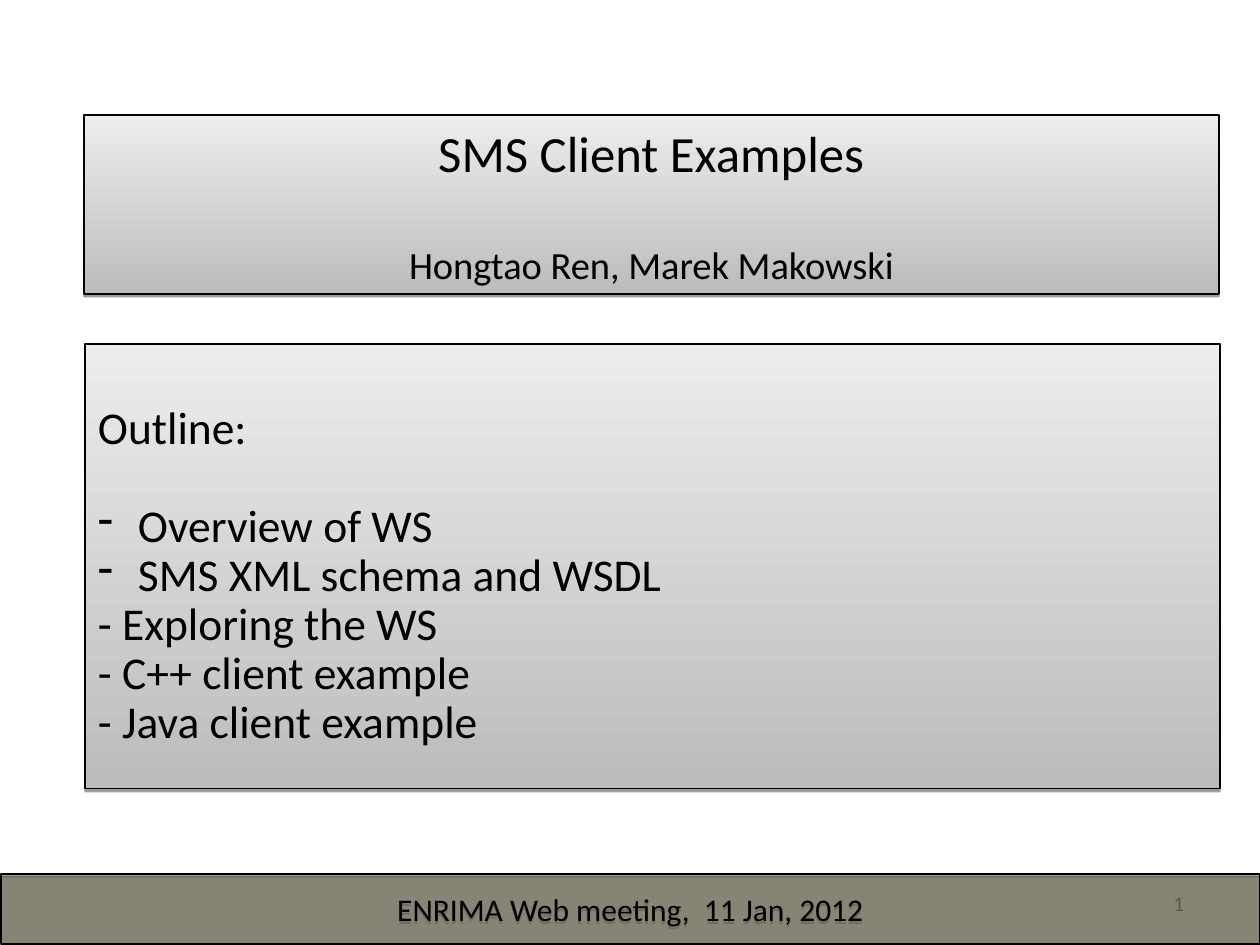
from lxml.etree import SubElement
from pptx import Presentation
from pptx.dml.color import RGBColor
from pptx.enum.shapes import MSO_SHAPE as Shape
from pptx.enum.text import MSO_ANCHOR as Anchor, PP_ALIGN as Align
from pptx.oxml.ns import qn
from pptx.util import Emu, Pt

PX = 914400 // 126
BLACK, GREY, OLIVE = "000000", "898989", "4A452A"
GRADIENT = ("BCBCBC", "EDEDED")
BULLET_INDENT = 40

TITLE = [("SMS Client Examples", dict(size=29)),
         ("Hongtao Ren, Marek Makowski", dict(size=22, before=33))]
OUTLINE = [("Outline:", {}),
           ("Overview of WS", dict(bullet="-", before=28)),
           ("SMS XML schema and WSDL", dict(bullet="-")),
           ("- Exploring the WS", {}),
           ("- C++ client example", {}),
           ("- Java client example", {})]
MEETING = "ENRIMA Web meeting,  11 Jan, 2012"


def px(length):
    return Emu(length * PX)


def color(code):
    return RGBColor.from_string(code)


def add_bullet(paragraph, mark):
    properties = paragraph._p.get_or_add_pPr()
    properties.set("marL", str(px(BULLET_INDENT)))
    properties.set("indent", str(px(-BULLET_INDENT)))
    SubElement(properties, qn("a:buChar"), char=mark)


def write(frame, lines, size=26, ink=BLACK, align=Align.LEFT, spacing=None,
          anchor=Anchor.MIDDLE, top=6):
    """Fill the frame with (text, options) lines; options override the size."""
    frame.word_wrap = True
    frame.vertical_anchor = anchor
    frame.margin_left = frame.margin_right = px(13)
    frame.margin_top, frame.margin_bottom = px(top), px(6)
    for index, (text, options) in enumerate(lines):
        paragraph = frame.add_paragraph() if index else frame.paragraphs[0]
        paragraph.alignment = align
        if spacing:
            paragraph.line_spacing = spacing
        if "before" in options:
            paragraph.space_before = Pt(options["before"])
        if "bullet" in options:
            add_bullet(paragraph, options["bullet"])
        run = paragraph.add_run()
        run.text = text
        run.font.name = "Calibri"
        run.font.size = Pt(options.get("size", size))
        run.font.color.rgb = color(ink)


def add_panel(slide, box):
    """Add an outlined rectangle with a thin shadow below it."""
    panel = slide.shapes.add_shape(Shape.RECTANGLE, *map(px, box))
    panel.line.color.rgb = color(BLACK)
    panel.line.width = Pt(0.75)
    panel.shadow.inherit = False
    effects = panel._element.spPr.find(qn("a:effectLst"))
    shadow = SubElement(effects, qn("a:outerShdw"), dist=str(Pt(1.6)),
                        dir="5400000", rotWithShape="0")
    shade = SubElement(shadow, qn("a:srgbClr"), val=BLACK)
    SubElement(shade, qn("a:alpha"), val="38000")
    return panel


def fill_gradient(panel):
    panel.fill.gradient()
    panel.fill.gradient_angle = 90
    for stop, code in zip(panel.fill.gradient_stops, GRADIENT):
        stop.color.rgb = color(code)


def fill_translucent(panel, code, percent):
    panel.fill.solid()
    panel.fill.fore_color.rgb = color(code)
    tint = panel._element.spPr.find(qn("a:solidFill")).find(qn("a:srgbClr"))
    SubElement(tint, qn("a:alpha"), val=str(percent * 1000))


def main():
    deck = Presentation()
    deck.slide_width, deck.slide_height = px(1260), px(945)
    slide = deck.slides.add_slide(deck.slide_layouts[6])

    page_number = slide.shapes.add_textbox(*map(px, (1097, 880, 100, 46)))
    write(page_number.text_frame, [("1", {})], size=12, ink=GREY,
          align=Align.RIGHT)

    title = add_panel(slide, (84, 115, 1135, 179))
    fill_gradient(title)
    write(title.text_frame, TITLE, align=Align.CENTER)

    outline = add_panel(slide, (85, 344, 1135, 445))
    fill_gradient(outline)
    write(outline.text_frame, OUTLINE, spacing=0.9, anchor=Anchor.TOP, top=61)

    footer = add_panel(slide, (1, 874, 1259, 70))
    fill_translucent(footer, OLIVE, 53)
    write(footer.text_frame, [(MEETING, {})], size=18, align=Align.CENTER)

    deck.save("out.pptx")


if __name__ == "__main__":
    main()
